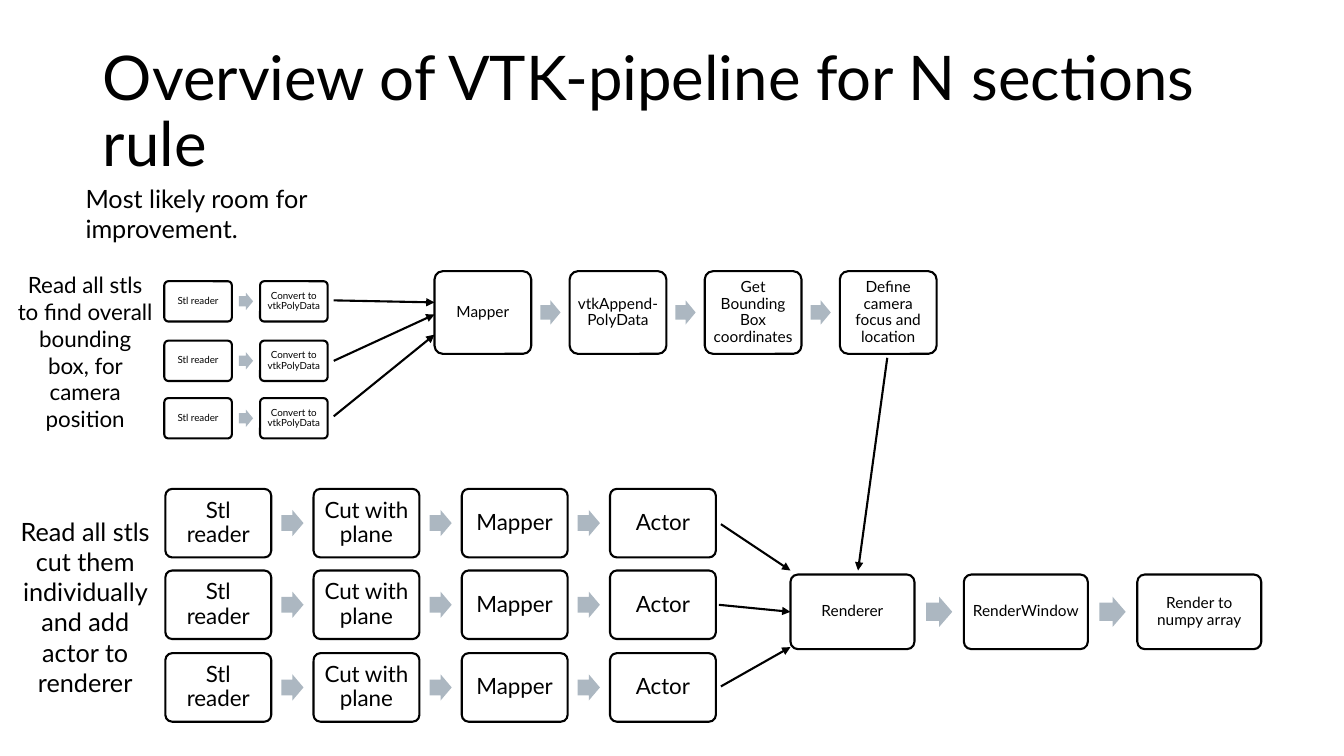
from dataclasses import dataclass

from lxml import etree
from pptx import Presentation
from pptx.dml.color import RGBColor
from pptx.enum.shapes import MSO_CONNECTOR, MSO_SHAPE
from pptx.enum.text import MSO_ANCHOR, MSO_AUTO_SIZE, PP_ALIGN
from pptx.oxml.ns import qn
from pptx.slide import Slide
from pptx.text.text import TextFrame
from pptx.util import Inches, Pt

ROUNDED = MSO_SHAPE.ROUNDED_RECTANGLE
RIGHT_ARROW = MSO_SHAPE.RIGHT_ARROW
STRAIGHT = MSO_CONNECTOR.STRAIGHT
MIDDLE = MSO_ANCHOR.MIDDLE
TOP = MSO_ANCHOR.TOP
LEFT = PP_ALIGN.LEFT
CENTER = PP_ALIGN.CENTER
NO_AUTOFIT = MSO_AUTO_SIZE.NONE

BLACK = RGBColor(0x00, 0x00, 0x00)
WHITE = RGBColor(0xFF, 0xFF, 0xFF)
GRAY_BLUE = RGBColor(0xAC, 0xB7, 0xC1)
FONT = "Lato"
LINE_WIDTH = Pt(1.5)
TITLE_ONLY_LAYOUT = 5


@dataclass(frozen=True)
class StepStyle:
    width: float
    height: float
    pitch: float
    arrow_width: float
    arrow_height: float
    inset: float
    font_size: int


@dataclass(frozen=True)
class Pipeline:
    left: float
    top: float
    steps: tuple[str, ...]
    style: StepStyle


@dataclass(frozen=True)
class Link:
    start: tuple[float, float]
    end: tuple[float, float]


@dataclass(frozen=True)
class Note:
    text: str
    left: float
    top: float
    width: float
    height: float
    font_size: int
    alignment: PP_ALIGN


READ_STYLE = StepStyle(0.67, 0.4, 0.95, 0.14, 0.17, 0.03, 7)
CAMERA_STYLE = StepStyle(0.96, 0.82, 1.34, 0.2, 0.24, 0.05, 11)
CUT_STYLE = StepStyle(1.05, 0.68, 1.47, 0.22, 0.26, 0.07, 16)
RENDER_STYLE = StepStyle(1.23, 0.74, 1.72, 0.26, 0.3, 0.05, 11)

READ_STEPS = ("Stl reader", "Convert to vtkPolyData")
CAMERA_STEPS = (
    "Mapper",
    "vtkAppend-PolyData",
    "Get Bounding Box coordinates",
    "Define camera focus and location",
)
CUT_STEPS = ("Stl reader", "Cut with plane", "Mapper", "Actor")
RENDER_STEPS = ("Renderer", "RenderWindow", "Render to numpy array")

PIPELINES = (
    *(Pipeline(1.63, top, READ_STEPS, READ_STYLE) for top in (2.79, 3.38, 3.95)),
    Pipeline(4.31, 2.69, CAMERA_STEPS, CAMERA_STYLE),
    *(Pipeline(1.64, top, CUT_STEPS, CUT_STYLE) for top in (4.85, 5.66, 6.48)),
    Pipeline(7.84, 5.7, RENDER_STEPS, RENDER_STYLE),
)

LINKS = (
    Link((3.31, 2.98), (4.31, 3.0)),
    Link((3.31, 3.58), (4.31, 3.12)),
    Link((3.31, 4.13), (4.31, 3.32)),
    Link((8.8, 3.55), (8.51, 5.66)),
    Link((7.15, 5.2), (7.84, 5.66)),
    Link((7.13, 6.0), (7.84, 6.07)),
    Link((7.15, 6.81), (7.84, 6.42)),
)

NOTES = (
    Note("Read all stls to find overall bounding box, for camera position",
         0.07, 2.64, 1.55, 1.72, 16, CENTER),
    Note("Read all stls cut them individually and add actor to renderer",
         0.07, 5.07, 1.55, 1.92, 18, CENTER),
    Note("Most likely room for improvement.",
         0.75, 1.77, 3.87, 0.4, 18, LEFT),
)


def write_text(frame: TextFrame, text: str, font_size: int, alignment: PP_ALIGN,
               anchor: MSO_ANCHOR, line_spacing: float) -> None:
    frame.word_wrap = True
    frame.auto_size = NO_AUTOFIT
    frame.vertical_anchor = anchor
    paragraph = frame.paragraphs[0]
    paragraph.text = text
    paragraph.alignment = alignment
    paragraph.line_spacing = line_spacing
    paragraph.font.name = FONT
    paragraph.font.size = Pt(font_size)
    paragraph.font.color.rgb = BLACK


def add_title(slide: Slide) -> None:
    title = slide.shapes.title
    title.left, title.top = Inches(0.92), Inches(0.4)
    title.width, title.height = Inches(11.5), Inches(1.45)
    write_text(title.text_frame, "Overview of VTK-pipeline for N sections rule",
               44, LEFT, MIDDLE, 0.9)


def add_pipeline(slide: Slide, pipeline: Pipeline) -> None:
    style = pipeline.style
    shapes = slide.shapes.add_group_shape().shapes
    arrow_offset = (style.width + style.pitch - style.arrow_width) / 2
    arrow_top = pipeline.top + (style.height - style.arrow_height) / 2
    for index, step in enumerate(pipeline.steps):
        left = pipeline.left + index * style.pitch
        box = shapes.add_shape(ROUNDED, Inches(left), Inches(pipeline.top),
                               Inches(style.width), Inches(style.height))
        box.adjustments[0] = 0.1
        box.shadow.inherit = False
        box.fill.solid()
        box.fill.fore_color.rgb = WHITE
        box.line.color.rgb = BLACK
        box.line.width = LINE_WIDTH
        frame = box.text_frame
        frame.margin_left = frame.margin_right = Inches(style.inset)
        frame.margin_top = frame.margin_bottom = Inches(style.inset)
        write_text(frame, step, style.font_size, CENTER, MIDDLE, 0.9)
        if index < len(pipeline.steps) - 1:
            arrow = shapes.add_shape(
                RIGHT_ARROW, Inches(left + arrow_offset), Inches(arrow_top),
                Inches(style.arrow_width), Inches(style.arrow_height))
            arrow.adjustments[0] = 0.6
            arrow.adjustments[1] = 0.5
            arrow.shadow.inherit = False
            arrow.fill.solid()
            arrow.fill.fore_color.rgb = GRAY_BLUE
            arrow.line.fill.background()


def add_link(slide: Slide, link: Link) -> None:
    start_x, start_y = link.start
    end_x, end_y = link.end
    connector = slide.shapes.add_connector(
        STRAIGHT, Inches(start_x), Inches(start_y), Inches(end_x), Inches(end_y))
    connector.line.color.rgb = BLACK
    connector.line.width = LINE_WIDTH
    properties = connector._element.spPr
    etree.SubElement(properties.find(qn("a:ln")), qn("a:tailEnd"), type="triangle")
    etree.SubElement(properties, qn("a:effectLst"))


def add_note(slide: Slide, note: Note) -> None:
    box = slide.shapes.add_textbox(Inches(note.left), Inches(note.top),
                                   Inches(note.width), Inches(note.height))
    write_text(box.text_frame, note.text, note.font_size, note.alignment, TOP, 1.0)


def main() -> None:
    presentation = Presentation()
    presentation.slide_width = Inches(13.33)
    presentation.slide_height = Inches(7.5)
    slide = presentation.slides.add_slide(presentation.slide_layouts[TITLE_ONLY_LAYOUT])
    add_title(slide)
    for pipeline in PIPELINES:
        add_pipeline(slide, pipeline)
    for link in LINKS:
        add_link(slide, link)
    for note in NOTES:
        add_note(slide, note)
    presentation.save("out.pptx")


if __name__ == "__main__":
    main()
